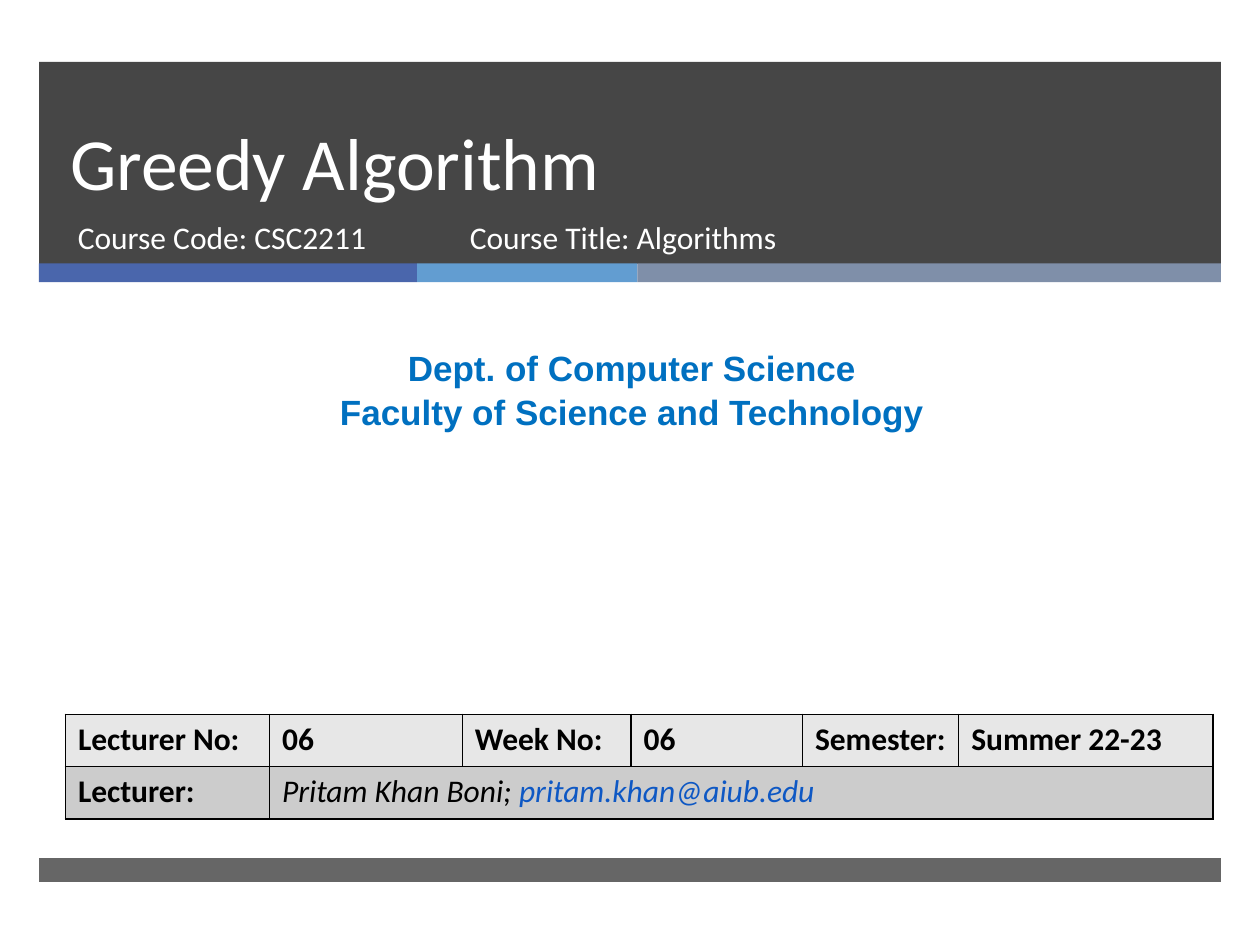
import pptx
import pptx.dml.color
import pptx.enum.shapes
import pptx.enum.text
import pptx.oxml.ns
import pptx.util
from lxml import etree

Pt = pptx.util.Pt
RGBColor = pptx.dml.color.RGBColor
qn = pptx.oxml.ns.qn

WHITE = RGBColor(0xFF, 0xFF, 0xFF)
BLACK = RGBColor(0x00, 0x00, 0x00)
CHARCOAL = RGBColor(0x26, 0x26, 0x26)
INDIGO = RGBColor(0x4A, 0x66, 0xAC)
SKY = RGBColor(0x62, 0x9D, 0xD1)
SLATE = RGBColor(0x7F, 0x8F, 0xA9)
DEPARTMENT_BLUE = RGBColor(0x00, 0x70, 0xC0)
LINK_BLUE = RGBColor(0x0E, 0x58, 0xC4)
ROW_FILLS = [RGBColor(0xE7, 0xE7, 0xE7), RGBColor(0xCC, 0xCC, 0xCC)]

BAND_LEFT, BAND_WIDTH = 22.3, 675.4


def add_run(paragraph, text, size, color, font="Calibri", bold=False, italic=False):
    run = paragraph.add_run()
    run.text = text
    run.font.name = font
    run.font.size = Pt(size)
    run.font.bold = bold
    run.font.italic = italic
    run.font.color.rgb = color


def add_text_box(left, top, width, height):
    """Add a wrapping text box and return its text frame."""
    box = slide.shapes.add_textbox(Pt(left), Pt(top), Pt(width), Pt(height))
    box.text_frame.word_wrap = True
    return box.text_frame


presentation = pptx.Presentation()
presentation.slide_width = Pt(720)
presentation.slide_height = Pt(540)
slide = presentation.slides.add_slide(presentation.slide_layouts[6])

# Header, three-colour stripe and footer: left, top, width, height, colour, opacity
bands = [
    (BAND_LEFT, 35.3, BAND_WIDTH, 115.5, CHARCOAL, 85),
    (BAND_LEFT, 150.5, 216, 10.8, INDIGO, 100),
    (238.3, 150.5, 126, 10.8, SKY, 100),
    (364.3, 150.5, 333.4, 10.8, SLATE, 100),
    (BAND_LEFT, 490.3, BAND_WIDTH, 13.7, CHARCOAL, 70),
]
for left, top, width, height, color, opacity in bands:
    band = slide.shapes.add_shape(
        pptx.enum.shapes.MSO_SHAPE.RECTANGLE, Pt(left), Pt(top), Pt(width), Pt(height))
    band.shadow.inherit = False
    band.line.fill.background()
    band.fill.solid()
    band.fill.fore_color.rgb = color
    if opacity < 100:
        color_element = band.fill._xPr.find(qn("a:solidFill"))[0]
        etree.SubElement(color_element, qn("a:alpha"), val=str(opacity * 1000))

# Title and course details
title_frame = add_text_box(33.1, 35.3, 614.9, 85.7)
title_frame.vertical_anchor = pptx.enum.text.MSO_ANCHOR.BOTTOM
title_frame.paragraphs[0].line_spacing = Pt(46)
add_run(title_frame.paragraphs[0], "Greedy Algorithm", 42, WHITE)

for left, width, text in [(37.4, 219.6, "Course Code: CSC2211"),
                          (261.4, 327.6, "Course Title: Algorithms")]:
    course_frame = add_text_box(left, 121, width, 38.2)
    add_run(course_frame.paragraphs[0], text, 18, WHITE)

# Department
department_frame = add_text_box(5.8, 193, 710.6, 55.4)
for index, text in enumerate(["Dept. of Computer Science",
                              "Faculty of Science and Technology"]):
    paragraph = department_frame.paragraphs[0] if index == 0 else department_frame.add_paragraph()
    paragraph.alignment = pptx.enum.text.PP_ALIGN.CENTER
    paragraph.line_spacing = 1.05
    add_run(paragraph, text, 20, DEPARTMENT_BLUE, "Arial", bold=True)

# Lecture table
column_widths = [116.6, 110.2, 96.5, 97.9, 89.3, 145.4]
row_height = 29.9
table = slide.shapes.add_table(2, len(column_widths), Pt(37.4), Pt(408.2),
                               Pt(sum(column_widths)), Pt(2 * row_height)).table
for column, width in zip(table.columns, column_widths):
    column.width = Pt(width)
for row, fill_color in zip(table.rows, ROW_FILLS):
    row.height = Pt(row_height)
    for cell in row.cells:
        properties = cell._tc.get_or_add_tcPr()
        for side in ["a:lnL", "a:lnR", "a:lnT", "a:lnB"]:
            border = etree.SubElement(properties, qn(side), w=str(Pt(1)))
            border_fill = etree.SubElement(border, qn("a:solidFill"))
            etree.SubElement(border_fill, qn("a:srgbClr"), val=str(BLACK))
        cell.fill.solid()
        cell.fill.fore_color.rgb = fill_color
table.cell(1, 1).merge(table.cell(1, 5))

headings = ["Lecturer No:", "06", "Week No:", "06", "Semester:", "Summer 22-23"]
for column_index, text in enumerate(headings):
    add_run(table.cell(0, column_index).text_frame.paragraphs[0], text, 18, BLACK, bold=True)
add_run(table.cell(1, 0).text_frame.paragraphs[0], "Lecturer:", 18, BLACK, bold=True)
lecturer = table.cell(1, 1).text_frame.paragraphs[0]
add_run(lecturer, "Pritam Khan Boni; ", 18, BLACK, italic=True)
add_run(lecturer, "pritam.khan@aiub.edu", 18, LINK_BLUE, italic=True)

presentation.save("out.pptx")
